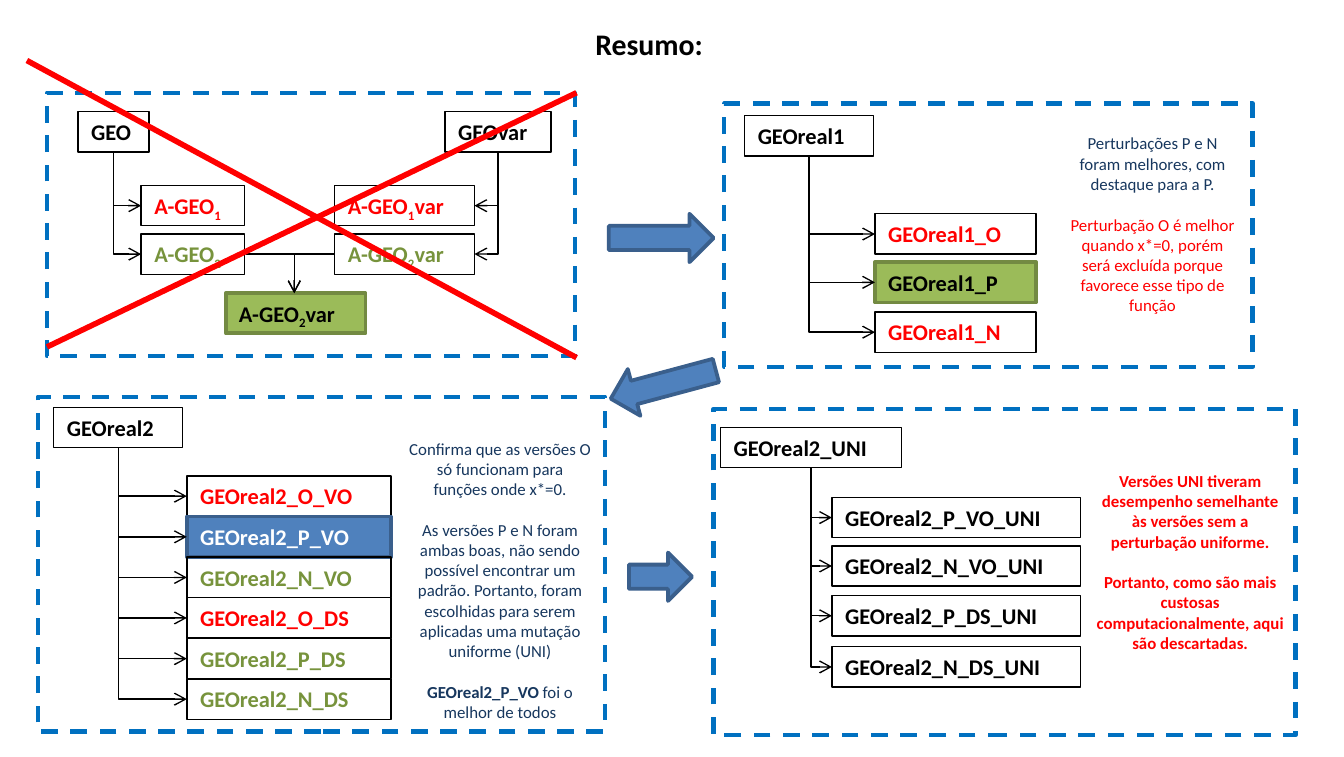
from pptx import Presentation
from pptx.dml.color import RGBColor
from pptx.enum.dml import MSO_LINE
from pptx.enum.shapes import MSO_CONNECTOR, MSO_SHAPE
from pptx.enum.text import MSO_ANCHOR, PP_ALIGN
from pptx.oxml.ns import qn
from pptx.util import Inches, Pt
from lxml import etree

COLORS = {
    "black": "000000", "white": "FFFFFF", "red": "FF0000", "olive": "77933C",
    "navy": "17375E", "frame": "0070C0", "green": "9BBB59", "green_edge": "738A42",
    "blue": "4F81BD", "blue_edge": "3A5F8C",
}
BOX_HEIGHT = 0.3


class SlideBuilder:
    def __init__(self, slide):
        self.slide = slide
        self.shapes = slide.shapes

    def color(self, name):
        return RGBColor.from_string(COLORS[name])

    def outline(self, line, color, width):
        line.color.rgb = self.color(color)
        line.width = Pt(width)

    def format(self, font, color, **values):
        for name, value in {"name": "Calibri", **values}.items():
            setattr(font, name, value)
        font.color.rgb = self.color(color)

    def title(self, text, left, top, width, height):
        title = self.slide.shapes.title
        for name, value in dict(left=left, top=top, width=width, height=height).items():
            setattr(title, name, Inches(value))
        title.text_frame.text = text
        paragraph = title.text_frame.paragraphs[0]
        paragraph.alignment = PP_ALIGN.CENTER
        self.format(paragraph.runs[0].font, "black", size=Pt(16), bold=True)

    def shape(self, kind, left, top, width, height, fill=None, edge="black", weight=0.75):
        shape = self.shapes.add_shape(kind, *map(Inches, (left, top, width, height)))
        shape.shadow.inherit = False
        if fill:
            shape.fill.solid()
            shape.fill.fore_color.rgb = self.color(fill)
        else:
            shape.fill.background()
        self.outline(shape.line, edge, weight)
        return shape

    def panel(self, left, top, width, height):
        """Start a group with a dashed frame; later elements go into it."""
        self.shapes = self.slide.shapes.add_group_shape().shapes
        frame = self.shape(MSO_SHAPE.RECTANGLE, left, top, width, height, None, "frame", 2.25)
        frame.line.dash_style = MSO_LINE.DASH

    def end_panel(self):
        self.shapes = self.slide.shapes

    def box(self, label, left, top, width, color="black", fill=None):
        """Draw a labelled box; every second part between ~ marks is a subscript."""
        style = (fill, fill + "_edge", 2) if fill else ()
        box = self.shape(MSO_SHAPE.RECTANGLE, left, top, width, BOX_HEIGHT, *style)
        box.text_frame.vertical_anchor = MSO_ANCHOR.TOP
        paragraph = box.text_frame.paragraphs[0]
        paragraph.alignment = PP_ALIGN.LEFT
        for index, part in enumerate(label.split("~")):
            run = paragraph.add_run()
            run.text = part
            self.format(run.font, color, size=Pt(12), bold=True)
            if index % 2:
                run.font._element.set("baseline", "-25000")

    def note(self, left, top, width, height, paragraphs):
        """Each paragraph is a list of (text, color, bold) runs."""
        note = self.shapes.add_textbox(*map(Inches, (left, top, width, height)))
        frame = note.text_frame
        frame.word_wrap = True
        for index, runs in enumerate(paragraphs):
            paragraph = frame.add_paragraph() if index else frame.paragraphs[0]
            paragraph.alignment = PP_ALIGN.CENTER
            paragraph.space_before = Pt(11 if index else 0)
            for text, color, bold in runs:
                run = paragraph.add_run()
                run.text = text
                self.format(run.font, color, size=Pt(9), bold=bold)

    def line(self, start, end, color="black", width=0.75, kind=MSO_CONNECTOR.STRAIGHT):
        connector = self.shapes.add_connector(kind, *map(Inches, (*start, *end)))
        self.outline(connector.line, color, width)
        etree.SubElement(connector._element.spPr, qn("a:effectLst"))
        return connector

    def elbow(self, start, end, down_first=True):
        """Draw a one-bend arrow, turned by 90 degrees when it starts downwards."""
        if down_first:
            (x1, y1), (x2, y2) = start, end
            middle_x, middle_y = (x1 + x2) / 2, (y1 + y2) / 2
            half_drop, half_run = (y2 - y1) / 2, (x2 - x1) / 2
            start = middle_x - half_drop, middle_y + half_run
            end = middle_x + half_drop, middle_y - half_run
        connector = self.line(start, end, kind=MSO_CONNECTOR.ELBOW)
        properties = connector._element.spPr
        properties.find(qn("a:prstGeom")).set("prst", "bentConnector2")
        if down_first:
            properties.find(qn("a:xfrm")).set("rot", str(90 * 60000))
        etree.SubElement(connector.line._get_or_add_ln(), qn("a:tailEnd"), type="arrow")

    def tree(self, root, left, width, tops, children):
        """Draw a root box (label, left, top, width) and arrows to its children."""
        self.box(*root)
        _, root_left, root_top, root_width = root
        trunk = root_left + root_width / 2
        side = left if left > trunk else left + width
        for top, (label, *style) in zip(tops, children):
            self.box(label, left, top, width, *style)
            self.elbow((trunk, root_top + BOX_HEIGHT), (side, top + BOX_HEIGHT / 2))


def main():
    presentation = Presentation()
    presentation.slide_width, presentation.slide_height = Inches(10), Inches(5.63)
    builder = SlideBuilder(presentation.slides.add_slide(presentation.slide_layouts[5]))
    builder.title("Resumo:", 4.05, 0.14, 1.56, 0.37)

    builder.panel(0.35, 0.69, 3.93, 1.96)
    for root, left, width, suffix in (
        (("GEO", 0.58, 0.83, 0.53), 1.05, 0.77, ""),
        (("GEOvar", 3.31, 0.83, 0.79), 2.49, 1.04, "~var"),
    ):
        builder.tree(root, left, width, (1.38, 1.74),
                     [("A-GEO~1" + suffix, "red"), ("A-GEO~2" + suffix, "olive")])
    builder.box("A-GEO~2~var", 1.68, 2.18, 1.04, "black", "green")
    for inner_edge in (1.83, 2.49):
        builder.elbow((inner_edge, 1.89), (2.19, 2.18), down_first=False)

    builder.panel(5.39, 0.77, 3.93, 1.96)
    builder.tree(("GEOreal1", 5.54, 0.86, 0.96), 6.51, 1.2, (1.59, 1.95, 2.32), [
        ("GEOreal1_O", "red"), ("GEOreal1_P", "black", "green"), ("GEOreal1_N", "red")])
    builder.note(7.84, 0.94, 1.47, 1.46, [
        [("Perturbações P e N foram melhores, com destaque para a P.", "navy", False)],
        [("Perturbação O é melhor quando x*=0, porém será excluída porque "
          "favorece esse tipo de função", "red", False)]])

    builder.panel(5.31, 3.04, 4.33, 2.43)
    builder.tree(("GEOreal2_UNI", 5.36, 3.18, 1.35), 6.19, 1.85, (3.7, 4.06, 4.43, 4.81),
                 [(f"GEOreal2_{name}_UNI",) for name in ("P_VO", "N_VO", "P_DS", "N_DS")])
    builder.note(8.05, 3.45, 1.61, 1.61, [
        [("Versões UNI tiveram desempenho semelhante às versões sem a "
          "perturbação uniforme.", "red", True)],
        [("Portanto, como são mais custosas computacionalmente, aqui são "
          "descartadas.", "red", True)]])

    builder.panel(0.28, 2.95, 4.22, 2.49)
    row_step = (5.05 - 3.54) / 5
    builder.tree(("GEOreal2", 0.4, 3.03, 0.96), 1.39, 1.52,
                 [3.54 + row * row_step for row in range(6)], [
        ("GEOreal2_O_VO", "red"), ("GEOreal2_P_VO", "white", "blue"),
        ("GEOreal2_N_VO", "olive"), ("GEOreal2_O_DS", "red"),
        ("GEOreal2_P_DS", "olive"), ("GEOreal2_N_DS", "olive")])
    builder.note(2.94, 3.21, 1.56, 2.22, [
        [("Confirma que as versões O só funcionam para funções onde x*=0.", "navy", False)],
        [("As versões P e N foram ambas boas, não sendo possível encontrar um padrão. "
          "Portanto, foram escolhidas para serem aplicadas uma mutação uniforme (UNI)",
          "navy", False)],
        [("GEOreal2_P_VO", "navy", True), (" foi o melhor de todos", "navy", False)]])

    builder.end_panel()
    for left, top, width, rotation in (
        (4.53, 1.59, 0.78, 0), (4.53, 2.68, 0.81, 165), (4.68, 4.11, 0.47, 0),
    ):
        arrow = builder.shape(MSO_SHAPE.RIGHT_ARROW, left, top, width, 0.36,
                              "blue", "blue_edge", 2)
        arrow.rotation = rotation
    builder.line((0.2, 0.45), (4.29, 2.66), "red", 3)
    builder.line((4.29, 0.69), (0.35, 2.58), "red", 3)
    presentation.save("out.pptx")


if __name__ == "__main__":
    main()
